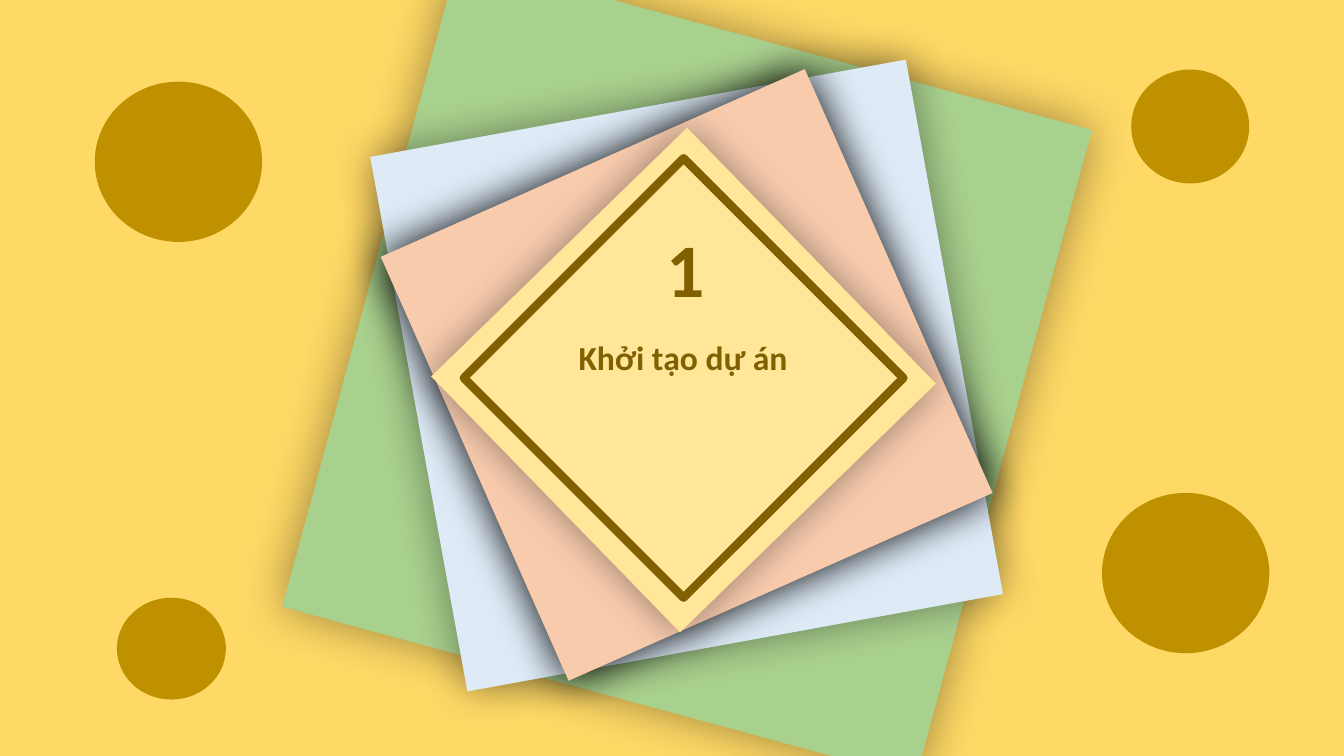
from lxml import etree
from pptx import Presentation
from pptx.dml.color import RGBColor
from pptx.enum.shapes import MSO_SHAPE as Shape
from pptx.enum.text import MSO_AUTO_SIZE as AutoSize, PP_ALIGN as Align
from pptx.oxml.ns import qn
from pptx.util import Inches, Pt

COLORS = {
    "background": "FFD966",
    "green": "A9D18E",
    "blue": "DEEBF7",
    "peach": "F8CBAD",
    "cream": "FFE699",
    "brown": "806000",
    "gold": "BF9000",
    "shadow": "000000",
}


def add_figure(kind, box, fill=None, rotation=0):
    """Add an unoutlined, shadowless shape; box is left, top, width, height in inches."""
    figure = slide.shapes.add_shape(kind, *map(Inches, box))
    figure.rotation = rotation
    figure.shadow.inherit = False
    figure.line.fill.background()
    if fill:
        figure.fill.solid()
        figure.fill.fore_color.rgb = RGBColor.from_string(COLORS[fill])
    else:
        figure.fill.background()
    return figure


prs = Presentation()
prs.slide_width, prs.slide_height = Inches(13.33), Inches(7.5)
slide = prs.slides.add_slide(prs.slide_layouts[6])
slide.background.fill.solid()
slide.background.fill.fore_color.rgb = RGBColor.from_string(COLORS["background"])

# Stacked sheets: box, rotation, fill, shadow opacity in percent, shadow blur in points
sheets = [
    ((3.56, 0.32, 6.51, 6.67), 15.2, "green", 40, 34),
    ((4.11, 1.03, 5.4, 5.39), 349.7, "blue", 40, 30),
    ((4.51, 1.42, 4.6, 4.6), 66.1, "peach", 100, 30),
    ((5.01, 2, 3.54, 3.54), 315.8, "cream", 40, 28),
]
for box, rotation, fill, opacity, blur in sheets:
    sheet = add_figure(Shape.RECTANGLE, box, fill, rotation)
    effects = sheet._element.spPr.find(qn("a:effectLst"))
    glow = etree.SubElement(effects, qn("a:outerShdw"), blurRad=str(Pt(blur)),
                            dist="0", dir="0", algn="ctr", rotWithShape="0")
    tint = etree.SubElement(glow, qn("a:srgbClr"), val=COLORS["shadow"])
    etree.SubElement(tint, qn("a:alpha"), val=str(opacity * 1000))

frame = add_figure(Shape.DIAMOND, (4.6, 1.57, 4.36, 4.36), rotation=90)
frame.line.color.rgb = RGBColor.from_string(COLORS["brown"])
frame.line.width = Pt(6)

labels = [
    ("Khởi tạo dự án", (5.3, 3.21, 2.95, 0.55), 24, True,
     {"alignment": Align.CENTER, "line_spacing": 1.2,
      "space_before": Pt(6), "space_after": Pt(6)}),
    ("1", (6.51, 2.15, 0.64, 1.01), 54, False, {}),
]
for wording, box, size, wrap, layout in labels:
    label = slide.shapes.add_textbox(*map(Inches, box)).text_frame
    label.word_wrap = wrap
    label.auto_size = AutoSize.SHAPE_TO_FIT_TEXT
    paragraph = label.paragraphs[0]
    for name, value in layout.items():
        setattr(paragraph, name, value)
    run = paragraph.add_run()
    run.text = wording
    for name, value in {"name": "Calibri", "size": Pt(size), "bold": True}.items():
        setattr(run.font, name, value)
    run.font.color.rgb = RGBColor.from_string(COLORS["brown"])

dots = [
    (0.94, 0.81, 1.66, 1.59),
    (10.93, 4.89, 1.66, 1.59),
    (11.22, 0.69, 1.17, 1.13),
    (1.16, 5.93, 1.08, 1.01),
]
for box in dots:
    add_figure(Shape.OVAL, box, "gold")

prs.save("out.pptx")
